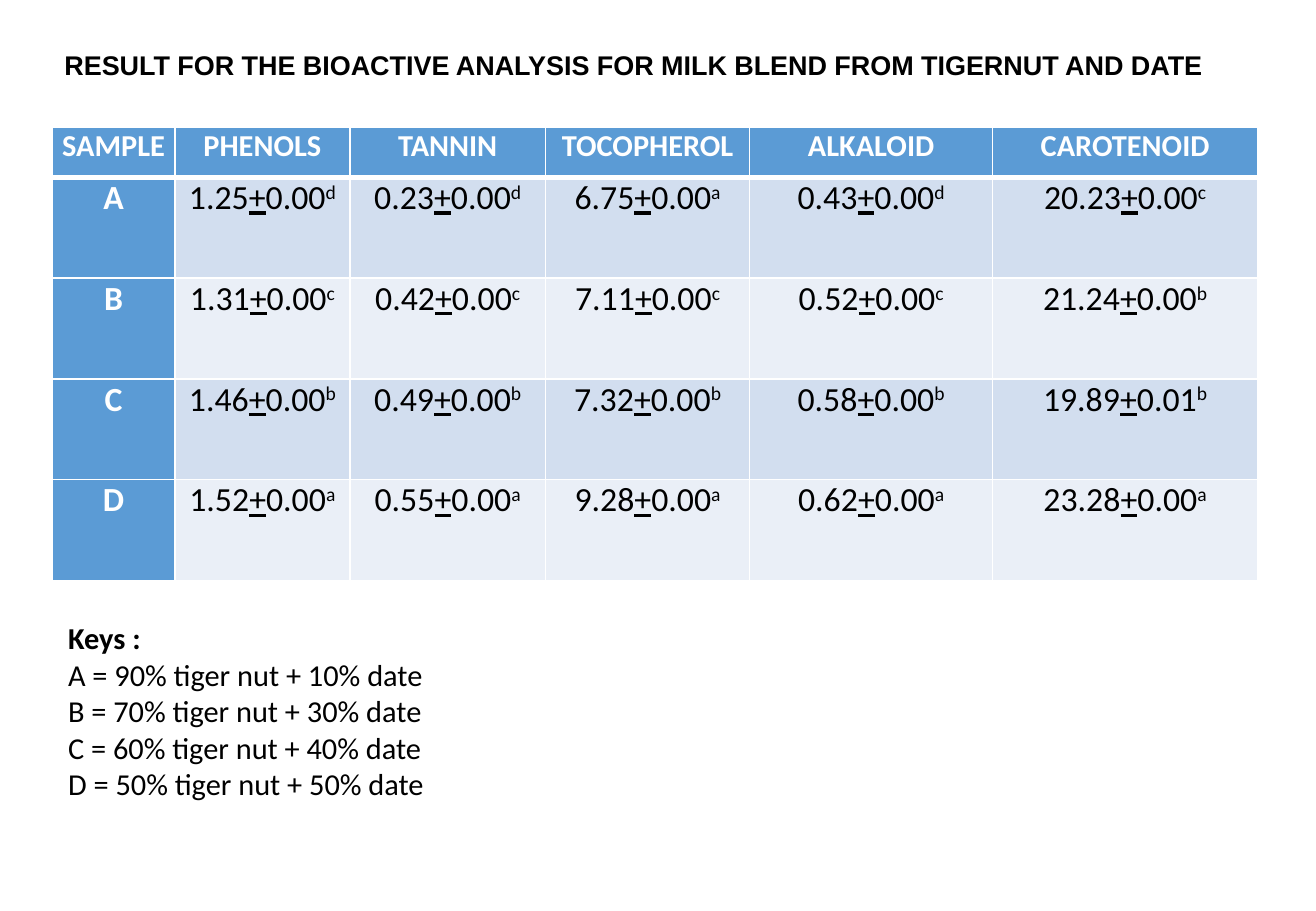
from dataclasses import dataclass

from lxml import etree
from pptx import Presentation
from pptx import util as u
from pptx.dml.color import RGBColor
from pptx.enum import text
from pptx.oxml import ns


@dataclass(frozen=True)
class Theme:
    """Colours, fonts and type sizes of the slide."""
    accent: str = "5B9BD5"
    bands: tuple = ("D2DEEF", "EAEFF7")
    light: str = "FFFFFF"
    dark: str = "000000"
    title_font: str = "Arial"
    body_font: str = "Calibri"
    title_size: int = 16
    body_size: int = 18
    cell_size: int = 20


THEME = Theme()
TITLE = "RESULT FOR THE BIOACTIVE ANALYSIS FOR MILK BLEND FROM TIGERNUT AND DATE"
HEADINGS = ("SAMPLE", "PHENOLS", "TANNIN", "TOCOPHEROL", "ALKALOID", "CAROTENOID")
COLUMN_WIDTHS = (1.01, 1.44, 1.61, 1.68, 2, 2.18)
ROW_HEIGHTS = (0.41, 0.83, 0.83, 0.83, 0.83)
RESULTS = {
    "A": ("1.25 0.00 d", "0.23 0.00 d", "6.75 0.00 a", "0.43 0.00 d", "20.23 0.00 c"),
    "B": ("1.31 0.00 c", "0.42 0.00 c", "7.11 0.00 c", "0.52 0.00 c", "21.24 0.00 b"),
    "C": ("1.46 0.00 b", "0.49 0.00 b", "7.32 0.00 b", "0.58 0.00 b", "19.89 0.01 b"),
    "D": ("1.52 0.00 a", "0.55 0.00 a", "9.28 0.00 a", "0.62 0.00 a", "23.28 0.00 a"),
}
KEYS = (
    "Keys :",
    "A = 90% tiger nut + 10% date",
    "B = 70% tiger nut + 30% date",
    "C = 60% tiger nut + 40% date",
    "D = 50% tiger nut + 50% date",
)


def add_text(paragraph, wording, *, size=THEME.body_size, color=THEME.dark,
             font=THEME.body_font, bold=False, underline=False, superscript=False):
    """Append a formatted run to a paragraph."""
    run = paragraph.add_run()
    run.text = wording
    run.font.size = u.Pt(size)
    run.font.name = font
    run.font.bold = bold
    run.font.underline = underline
    run.font.color.rgb = RGBColor.from_string(color)
    if superscript:
        run.font._element.set("baseline", "30000")


def place(shape, box):
    """Move a shape to a left, top, width, height box in inches."""
    shape.left, shape.top, shape.width, shape.height = map(u.Inches, box)


def add_title(slide, box):
    """Fill the title placeholder."""
    title = slide.shapes.title
    place(title, box)
    frame = title.text_frame
    frame.word_wrap = True
    frame.auto_size = text.MSO_AUTO_SIZE.NONE
    frame.vertical_anchor = text.MSO_ANCHOR.MIDDLE
    paragraph = frame.paragraphs[0]
    paragraph.alignment = text.PP_ALIGN.LEFT
    add_text(paragraph, TITLE, size=THEME.title_size, font=THEME.title_font, bold=True)


def style_cell(cell, fill, top=1, bottom=1):
    """Set margins, white borders and fill of a cell, and centre its text."""
    cell.margin_left = cell.margin_right = u.Inches(0.07)
    cell.margin_top = cell.margin_bottom = 0
    cell.text_frame.paragraphs[0].alignment = text.PP_ALIGN.CENTER
    properties = cell._tc.get_or_add_tcPr()
    for side, width in (("L", 1), ("R", 1), ("T", top), ("B", bottom)):
        line = etree.SubElement(properties, ns.qn(f"a:ln{side}"), w=str(u.Pt(width)))
        solid = etree.SubElement(line, ns.qn("a:solidFill"))
        etree.SubElement(solid, ns.qn("a:srgbClr"), val=THEME.light)
    cell.fill.solid()
    cell.fill.fore_color.rgb = RGBColor.from_string(fill)


def add_label(cell, wording, size, **borders):
    """Write a heading cell in bold on the accent colour."""
    style_cell(cell, THEME.accent, **borders)
    add_text(cell.text_frame.paragraphs[0], wording, size=size,
             color=THEME.light, bold=True)


def add_result(cell, result, fill, **borders):
    """Write a mean, its deviation and its superscript group letter."""
    style_cell(cell, fill, **borders)
    paragraph = cell.text_frame.paragraphs[0]
    mean, deviation, group = result.split()
    add_text(paragraph, mean, size=THEME.cell_size)
    add_text(paragraph, "+", size=THEME.cell_size, underline=True)
    add_text(paragraph, deviation, size=THEME.cell_size)
    add_text(paragraph, group, size=THEME.cell_size, superscript=True)


def add_results_table(slide, box):
    """Build the table of bioactive compounds by sample."""
    table = slide.shapes.add_table(
        len(ROW_HEIGHTS), len(COLUMN_WIDTHS), *map(u.Inches, box)).table
    table.first_col = True
    for column, width in zip(table.columns, COLUMN_WIDTHS):
        column.width = u.Inches(width)
    for row, height in zip(table.rows, ROW_HEIGHTS):
        row.height = u.Inches(height)
    for column, heading in enumerate(HEADINGS):
        add_label(table.cell(0, column), heading, THEME.body_size, bottom=3)
    for row, (sample, results) in enumerate(RESULTS.items(), 1):
        top = 3 if row == 1 else 1
        add_label(table.cell(row, 0), sample, THEME.cell_size, top=top)
        for column, result in enumerate(results, 1):
            add_result(table.cell(row, column), result,
                       THEME.bands[(row - 1) % 2], top=top)


def add_keys(slide, box):
    """Fill the body placeholder with the key to the samples."""
    body = slide.placeholders[1]
    place(body, box)
    frame = body.text_frame
    frame.word_wrap = True
    frame.auto_size = text.MSO_AUTO_SIZE.NONE
    frame.vertical_anchor = text.MSO_ANCHOR.TOP
    for index, wording in enumerate(KEYS):
        paragraph = frame.add_paragraph() if index else frame.paragraphs[0]
        paragraph.space_before = u.Pt(0)
        properties = paragraph._p.get_or_add_pPr()
        properties.set("marL", "0")
        properties.set("indent", "0")
        etree.SubElement(properties, ns.qn("a:buNone"))
        add_text(paragraph, wording, bold=index == 0)


def main():
    """Build and save the presentation."""
    presentation = Presentation()
    presentation.slide_width = u.Inches(10.83)
    presentation.slide_height = u.Inches(7.5)
    slide = presentation.slides.add_slide(presentation.slide_layouts[1])
    add_results_table(slide, (0.43, 1.05, sum(COLUMN_WIDTHS), sum(ROW_HEIGHTS)))
    add_title(slide, (0.43, 0.35, 10.21, 0.37))
    add_keys(slide, (0.46, 5.05, 3.32, 1.62))
    presentation.save("out.pptx")


if __name__ == "__main__":
    main()
